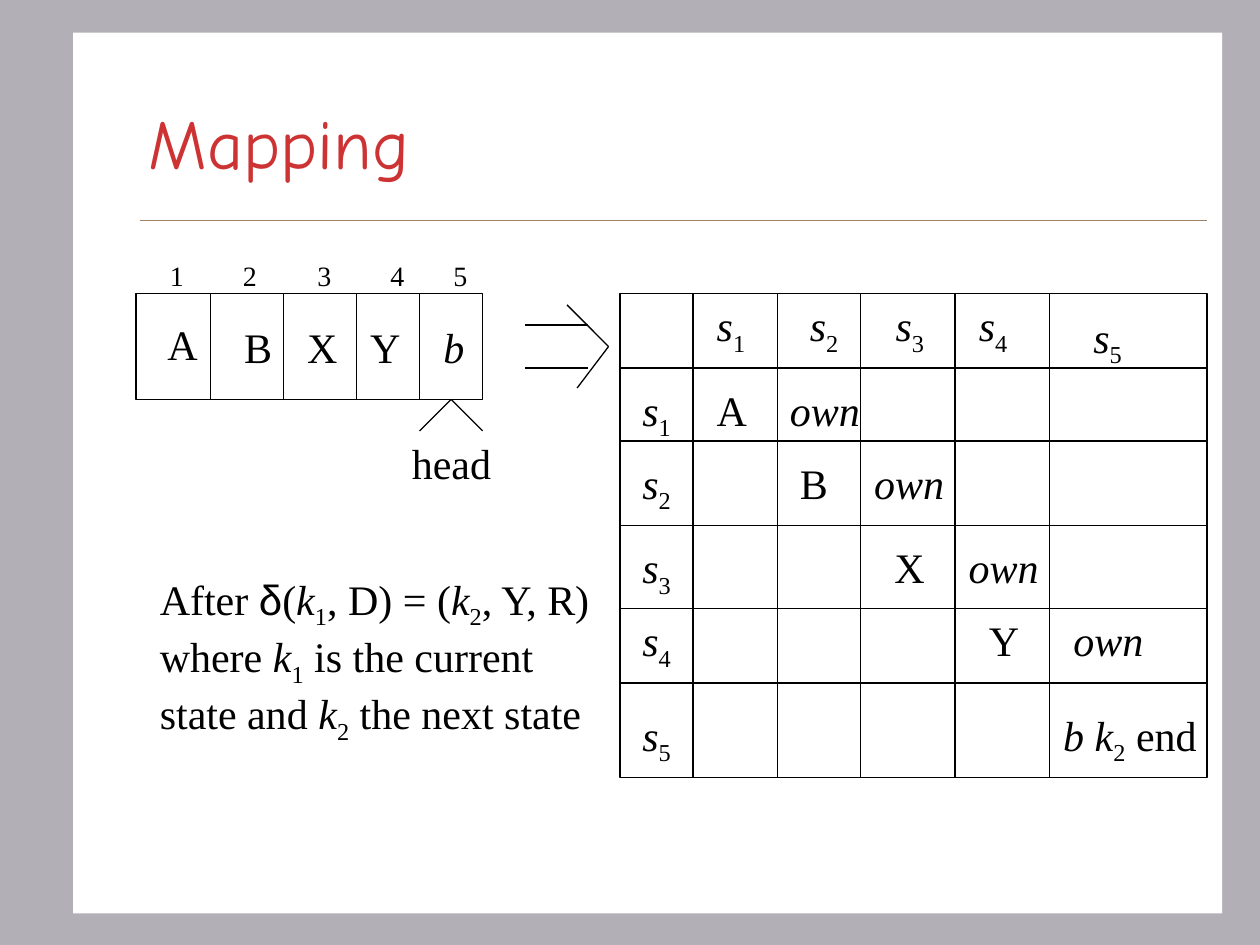
from pptx import Presentation
from pptx.dml.color import RGBColor
from pptx.enum.shapes import MSO_CONNECTOR, MSO_SHAPE
from pptx.enum.text import MSO_ANCHOR, MSO_AUTO_SIZE, PP_ALIGN
from pptx.oxml.ns import qn
from pptx.util import Inches, Pt
from lxml.etree import SubElement

color = RGBColor.from_string


def add_text(text, left, top, width, height=0.5, size=24, wrap=False):
    box = slide.shapes.add_textbox(Inches(left), Inches(top), Inches(width), Inches(height))
    frame = box.text_frame
    frame.word_wrap = wrap
    frame.auto_size = MSO_AUTO_SIZE.SHAPE_TO_FIT_TEXT
    for index, line in enumerate(text.split("\n")):
        paragraph = frame.add_paragraph() if index else frame.paragraphs[0]
        for part in line.split("|"):
            run = paragraph.add_run()
            run.text = part.lstrip("/_")
            run.font.size = Pt(size)
            run.font.name = "Arial" if part == "δ" else "Times New Roman"
            run.font.color.rgb = color("000000")
            run.font.italic = part.startswith("/")
            if part.startswith("_"):
                run.font._element.set("baseline", "-25000")


def add_line(x1, y1, x2, y2, line_color="000000", width=0.75):
    line = slide.shapes.add_connector(
        MSO_CONNECTOR.STRAIGHT, Inches(x1), Inches(y1), Inches(x2), Inches(y2))
    line.line.color.rgb = color(line_color)
    line.line.width = Pt(width)
    SubElement(line._element.spPr, qn("a:effectLst"))


presentation = Presentation()
presentation.slide_width = Inches(10)
presentation.slide_height = Inches(7.5)
slide = presentation.slides.add_slide(presentation.slide_layouts[5])
slide.background.fill.solid()
slide.background.fill.fore_color.rgb = color("B2B0B6")

panel = slide.shapes.add_shape(
    MSO_SHAPE.RECTANGLE, Inches(0.58), Inches(0.26), Inches(9.12), Inches(6.99))
panel.shadow.inherit = False
panel.fill.solid()
panel.fill.fore_color.rgb = color("FFFFFF")
panel.line.fill.background()
slide.shapes._spTree.insert(2, panel._element)
add_line(1.11, 1.75, 9.58, 1.75, line_color="A08366", width=0.25)

title = slide.shapes.title
title.left, title.top = Inches(1.08), Inches(0.5)
title.width, title.height = Inches(8.5), Inches(1.25)
title.text_frame.text = "Mapping"
title.text_frame.vertical_anchor = MSO_ANCHOR.MIDDLE
paragraph = title.text_frame.paragraphs[0]
paragraph.alignment = PP_ALIGN.LEFT
paragraph.font.size = Pt(40)
paragraph.font.name = "Comic Neue"
paragraph.font.color.rgb = color("CD3333")

tape_columns = [1.08, 1.67, 2.25, 2.83, 3.33, 3.83]
tape_rows = [2.33, 3.17]
matrix_columns = [4.92, 5.5, 6.17, 6.83, 7.58, 8.33, 9.58]
matrix_rows = [2.33, 2.92, 3.5, 4.17, 4.83, 5.42, 6.17]
for columns, rows in [(tape_columns, tape_rows), (matrix_columns, matrix_rows)]:
    left, right, top, bottom = columns[0], columns[-1], rows[0], rows[-1]
    frame = slide.shapes.add_shape(
        MSO_SHAPE.RECTANGLE, Inches(left), Inches(top), Inches(right - left), Inches(bottom - top))
    frame.shadow.inherit = False
    frame.fill.background()
    frame.line.color.rgb = color("000000")
    frame.line.width = Pt(0.75)
    for x in columns[1:-1]:
        add_line(x, top, x, bottom)
    for y in rows[1:-1]:
        add_line(left, y, right, y)

for symbol, left, top in [("A", 1.23, 2.48), ("B", 1.84, 2.5), ("X", 2.34, 2.5), ("Y", 2.84, 2.5)]:
    add_text(symbol, left, top, 0.44)
add_text("/b", 3.42, 2.5, 0.2, wrap=True)
for number, left in enumerate([1.25, 1.83, 2.42, 3, 3.5], start=1):
    add_text(str(number), left, 2, 0.2, height=0.37, size=16, wrap=True)

for x in (3.33, 3.83):
    add_line(3.58, 3.17, x, 3.42)
add_text("head", 3.17, 3.42, 0.83)

for y in (2.58, 2.92):
    add_line(4.17, y, 4.67, y)
for x, y in [(4.5, 2.42), (4.58, 3.08)]:
    add_line(4.83, 2.75, x, y)

column_heads = [(5.59, 2.33), (6.33, 2.33), (7.01, 2.33), (7.67, 2.33), (8.58, 2.42)]
row_tops = [3, 3.58, 4.25, 4.83, 5.58]
for number, ((left, top), row_top) in enumerate(zip(column_heads, row_tops), start=1):
    add_text(f"/s|_{number}", left, top, 0.44, height=0.56)
    add_text(f"/s|_{number}", 5, row_top, 0.44, height=0.56)

rights = [("A", 5.59, 6.17), ("B", 6.25, 6.84), ("X", 7, 7.59), ("Y", 7.75, 8.42)]
for (symbol, symbol_left, own_left), row_top in zip(rights, row_tops):
    add_text(symbol, symbol_left, row_top, 0.44)
    add_text("/own", own_left, row_top, 0.77)
add_text("/b k|_2| end", 8.34, row_tops[-1], 1.26, height=0.56)

add_text(
    "After |δ|(|/k|_1|, D) = (|/k|_2|, Y, R)\n"
    "where |/k|_1| is the current\n"
    "state and |/k|_2| the next state",
    1.17, 4.5, 3.64, height=1.47)

presentation.save("out.pptx")
